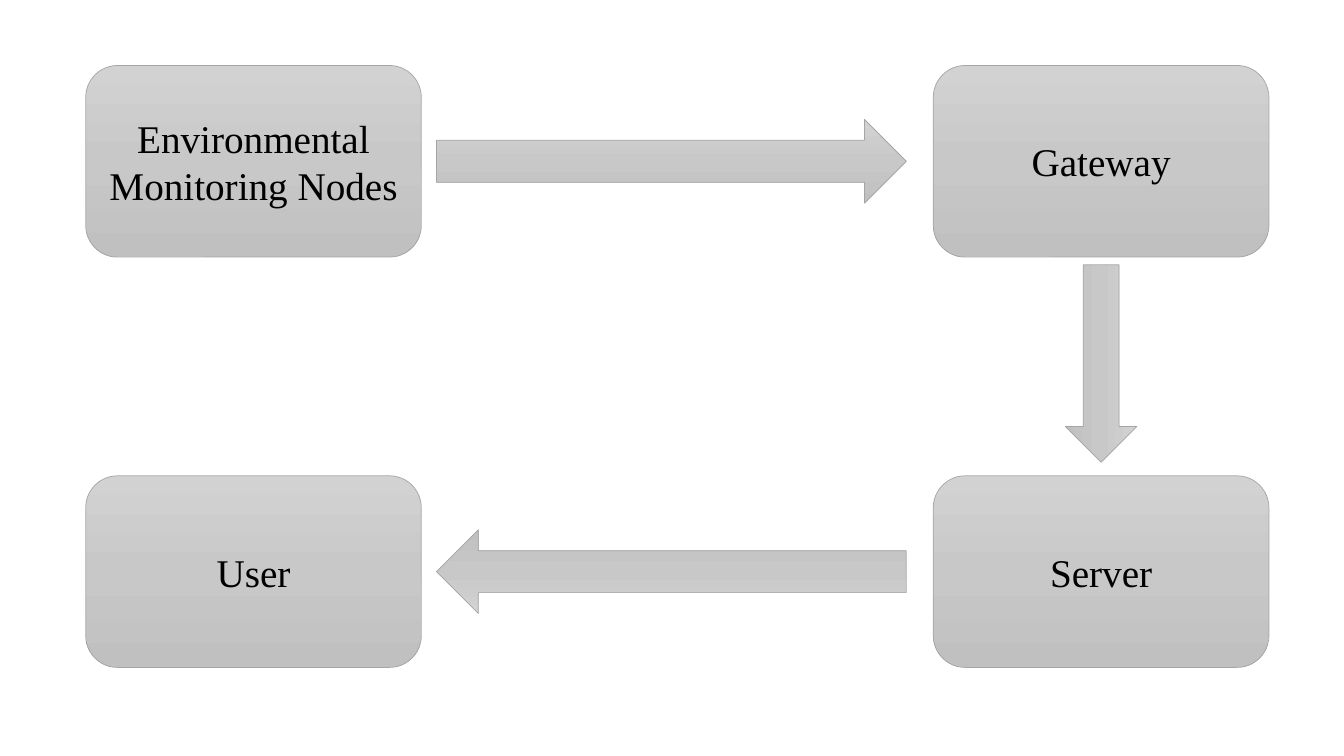
from copy import deepcopy

from pptx import Presentation
from pptx.dml.color import RGBColor
from pptx.enum.shapes import MSO_SHAPE
from pptx.enum.text import MSO_ANCHOR, PP_ALIGN
from pptx.oxml.ns import qn
from pptx.util import Cm, Pt

ROUND = MSO_SHAPE.ROUNDED_RECTANGLE
ARROW = MSO_SHAPE.RIGHT_ARROW
MIDDLE = MSO_ANCHOR.MIDDLE
CENTER = PP_ALIGN.CENTER

# label, column, row
BOXES = [
    ("Environmental Monitoring Nodes", 0, 0),
    ("Gateway", 1, 0),
    ("Server", 1, 1),
    ("User", 0, 1),
]

THEME = {
    "font": "Times New Roman",
    "size": Pt(28),
    "text": RGBColor.from_string("000000"),
    "line": RGBColor.from_string("A5A5A5"),
    "width": Pt(0.5),
    "stops": [(0, "D2D2D2"), (0.5, "C8C8C8"), (1, "C0C0C0")],
}

# All lengths in centimetres
LEFT, TOP = 2.16, 1.65
BOX_W, BOX_H = 8.46, 4.83
STEP_X, STEP_Y = 21.36, 10.34
LONG = (11.84, 2.11)
SHORT = (4.98, 1.8)
GAP_X, GAP_Y = 16.92, 9.16  # centres of the gaps that hold arrows


def center(col, row):
    return LEFT + BOX_W / 2 + col * STEP_X, TOP + BOX_H / 2 + row * STEP_Y


def shade(shape):
    """Give the shape the grey three-stop gradient and a thin outline."""
    shape.shadow.inherit = False
    shape.fill.gradient()
    shape.fill.gradient_angle = 270
    stops = shape._element.spPr.find(qn("a:gradFill")).find(qn("a:gsLst"))
    stops.insert(1, deepcopy(stops[0]))
    for stop, (place, color) in zip(shape.fill.gradient_stops, THEME["stops"]):
        stop.position = place
        stop.color.rgb = RGBColor.from_string(color)
    shape.line.color.rgb = THEME["line"]
    shape.line.width = THEME["width"]


def draw(slide, kind, mid, size, turn=0):
    (x, y), (w, h) = mid, size
    shape = slide.shapes.add_shape(
        kind, Cm(x - w / 2), Cm(y - h / 2), Cm(w), Cm(h))
    shape.rotation = turn
    shade(shape)
    return shape


def label(shape, text):
    frame = shape.text_frame
    frame.word_wrap = True
    frame.vertical_anchor = MIDDLE
    para = frame.paragraphs[0]
    para.alignment = CENTER
    run = para.add_run()
    run.text = text
    run.font.name = THEME["font"]
    run.font.size = THEME["size"]
    run.font.color.rgb = THEME["text"]


def main():
    deck = Presentation()
    deck.slide_width, deck.slide_height = Cm(33.87), Cm(19.05)
    slide = deck.slides.add_slide(deck.slide_layouts[6])

    for text, col, row in BOXES:
        label(draw(slide, ROUND, center(col, row), (BOX_W, BOX_H)), text)

    for row, turn in enumerate((0, 180)):
        draw(slide, ARROW, (GAP_X, center(0, row)[1]), LONG, turn)
    draw(slide, ARROW, (center(1, 0)[0], GAP_Y), SHORT, 90)

    deck.save("out.pptx")


if __name__ == "__main__":
    main()
